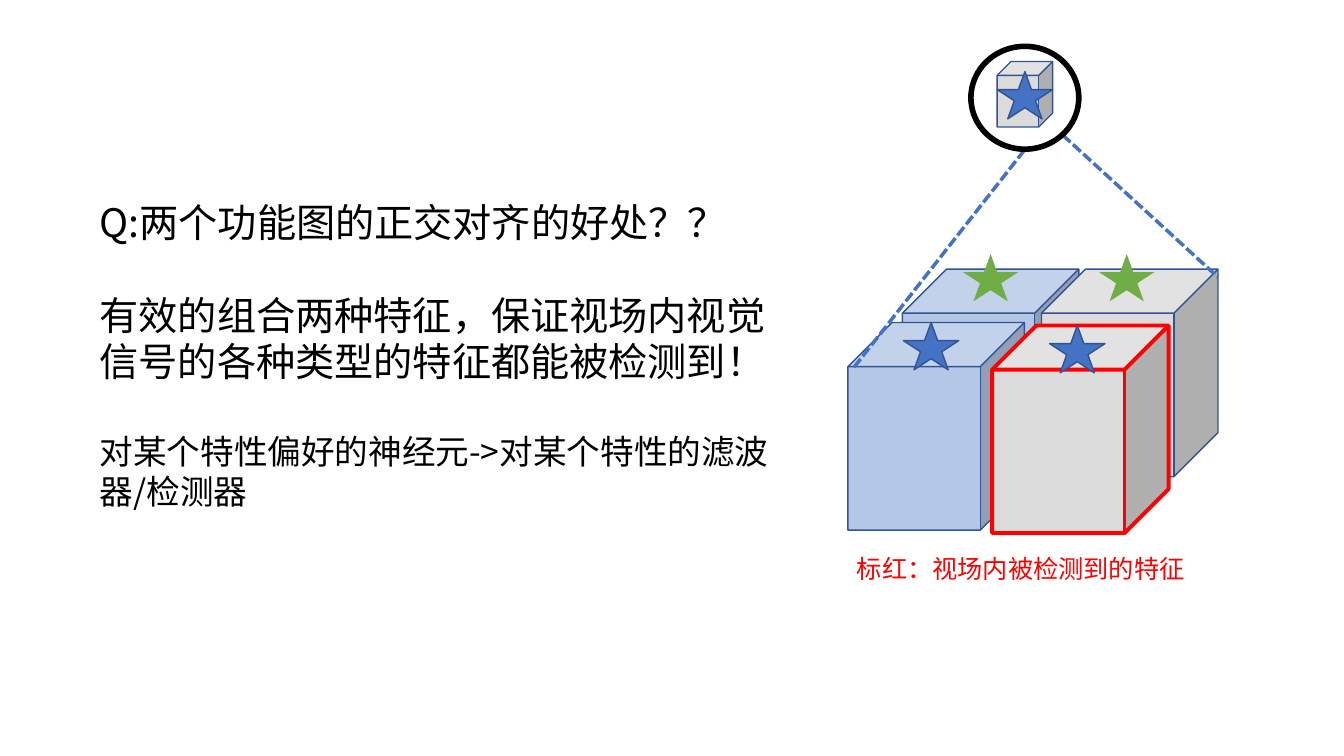
import lxml.etree
import pptx
import pptx.dml.color
import pptx.enum.dml
import pptx.enum.shapes
import pptx.enum.text
import pptx.oxml.ns
import pptx.util

PX = 9144
FONT = "Noto Sans CJK SC"
RGB = pptx.dml.color.RGBColor
BLACK = RGB(0, 0, 0)
RED = RGB(255, 0, 0)
NAVY = RGB(0x32, 0x54, 0x91)
BLUE = RGB(0x44, 0x72, 0xC4)
PALE = RGB(0xB4, 0xC7, 0xE7)
GRAY = RGB(0xDB, 0xDB, 0xDB)
GREEN = RGB(0x70, 0xAD, 0x47)
KIND = pptx.enum.shapes.MSO_SHAPE
STAR = (55, 47)
CUBE = (175, 206)


def scale(*sizes):
    """Turn lengths in px into EMU."""
    return [size * PX for size in sizes]


def shape(area, kind, spot, size, fill=None, line=NAVY, width=1):
    """Draw a preset shape with an optional fill and outline."""
    item = area.add_shape(kind, *scale(*spot, *size))
    item.shadow.inherit = False
    if fill is None:
        item.fill.background()
    else:
        item.fill.solid()
        item.fill.fore_color.rgb = fill
    if line is None:
        item.line.fill.background()
    else:
        item.line.color.rgb = line
        item.line.width = pptx.util.Pt(width)


def ray(area, start, end):
    """Draw a dashed line of sight."""
    item = area.add_connector(
        pptx.enum.shapes.MSO_CONNECTOR.STRAIGHT, *scale(*start, *end))
    item.line.color.rgb = BLUE
    item.line.width = pptx.util.Pt(2.5)
    item.line.dash_style = pptx.enum.dml.MSO_LINE.SQUARE_DOT
    lxml.etree.SubElement(
        item._element.spPr, pptx.oxml.ns.qn("a:effectLst"))


def box(area, spot, size):
    """Add a wrapping text box and return its frame."""
    frame = area.add_textbox(*scale(*spot, *size)).text_frame
    frame.word_wrap = True
    frame.auto_size = pptx.enum.text.MSO_AUTO_SIZE.NONE
    return frame


def write(para, text, size=28, color=BLACK, before=0):
    """Fill a paragraph with formatted text."""
    para.line_spacing = pptx.util.Pt(round(size * 1.18, 1))
    para.space_before = pptx.util.Pt(before)
    run = para.add_run()
    run.text = text
    run.font.size = pptx.util.Pt(size)
    run.font.color.rgb = color
    run.font.name = FONT
    lxml.etree.SubElement(
        run._r.get_or_add_rPr(), pptx.oxml.ns.qn("a:ea"), typeface=FONT)


def notes(area):
    """Write the question and its answers."""
    frame = box(area, (89, 193), (697, 434))
    write(frame.paragraphs[0], "Q:两个功能图的正交对齐的好处？？")
    write(frame.add_paragraph(),
          "有效的组合两种特征，保证视场内视觉信号的各种类型的特征都能被检测到！",
          before=33)
    write(frame.add_paragraph(),
          "对某个特性偏好的神经元->对某个特性的滤波器/检测器",
          size=24, before=34)


def scene(area):
    """Draw the cubes, the stars and the field of view."""
    for spot in ((895, 267), PALE), ((1033, 267), GRAY), ((841, 320), PALE):
        shape(area, KIND.CUBE, spot[0], CUBE, spot[1])
    shape(area, KIND.CUBE, (984, 323), CUBE, GRAY, RED, 2.75)
    for spot in (896, 320), (1041, 323):
        shape(area, KIND.STAR_5_POINT, spot, STAR, BLUE)
    for left in 955, 1090:
        shape(area, KIND.STAR_5_POINT, (left, 252), STAR, GREEN, None)
    ray(area, (1016, 149), (845, 367))
    ray(area, (1054, 134), (1208, 275))
    shape(area, KIND.OVAL, (963, 46), (107, 102), None, BLACK, 4)
    shape(area, KIND.CUBE, (989, 61), (55, 65), GRAY)
    shape(area, KIND.STAR_5_POINT, (989, 71), STAR, BLUE)
    label = box(area, (840, 545), (369, 40))
    write(label.paragraphs[0], "标红：视场内被检测到的特征", size=18, color=RED)


def main():
    """Build and save the slide."""
    deck = pptx.Presentation()
    deck.slide_width, deck.slide_height = scale(1333, 750)
    slide = deck.slides.add_slide(deck.slide_layouts[6])
    notes(slide.shapes)
    scene(slide.shapes.add_group_shape().shapes)
    deck.save("out.pptx")


if __name__ == "__main__":
    main()
